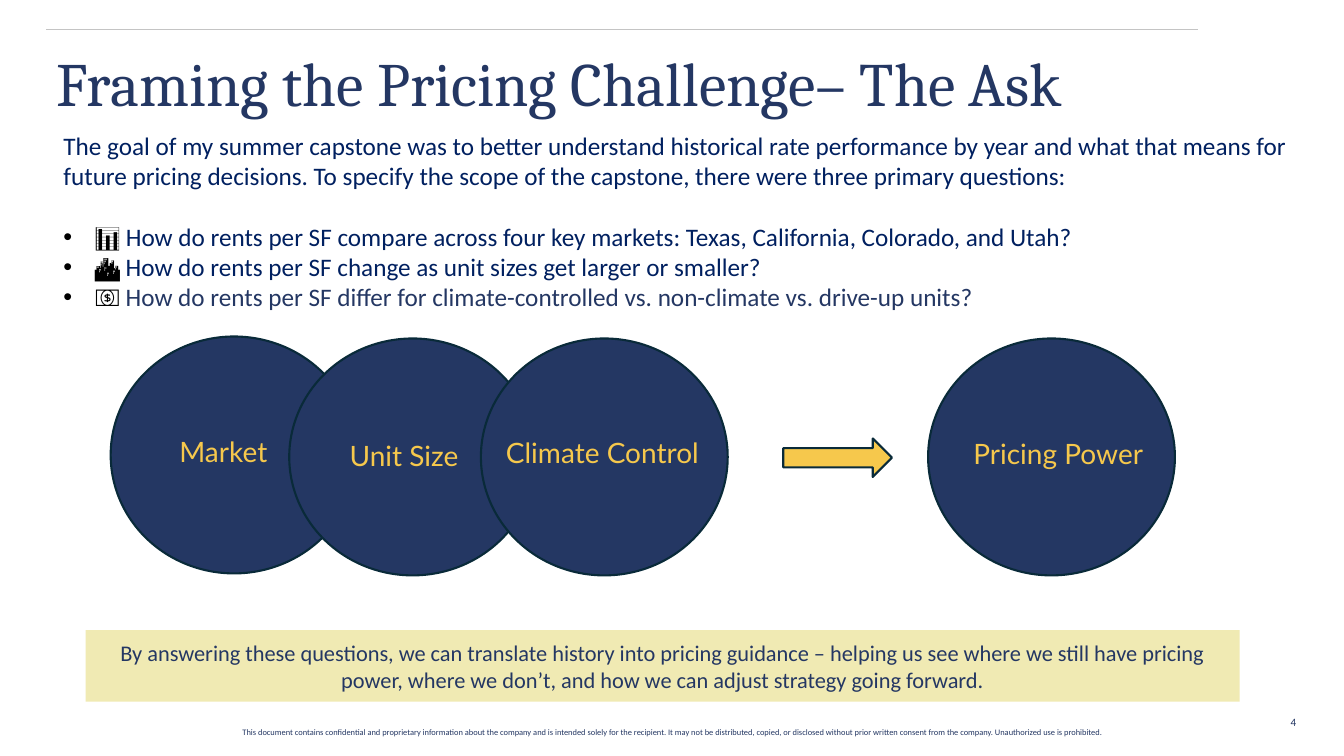
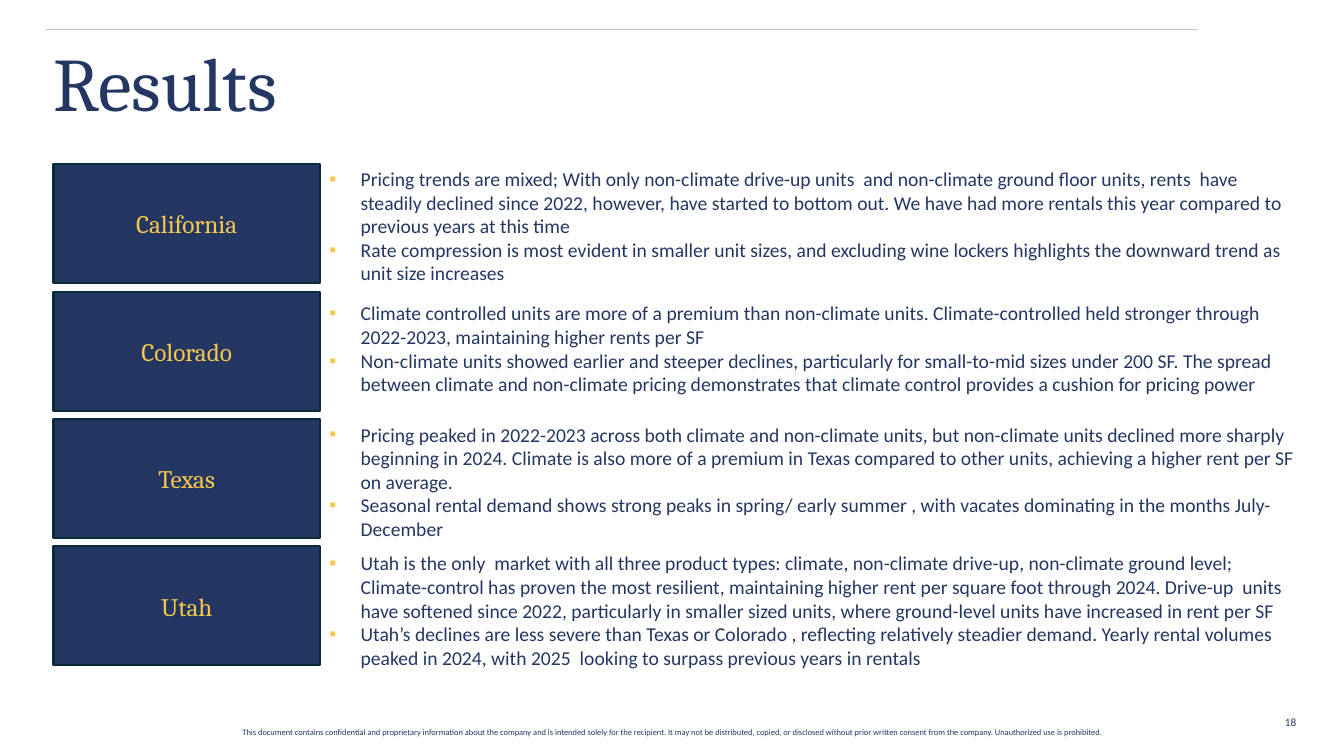
from lxml import etree
from pptx import Presentation
from pptx.dml.color import RGBColor
from pptx.enum.shapes import MSO_CONNECTOR, MSO_SHAPE
from pptx.enum.text import MSO_ANCHOR, PP_ALIGN
from pptx.oxml.ns import qn
from pptx.util import Cm, Pt

LEFT, MID, RIGHT = PP_ALIGN.LEFT, PP_ALIGN.CENTER, PP_ALIGN.RIGHT
TOP, CENTER = MSO_ANCHOR.TOP, MSO_ANCHOR.MIDDLE
OVAL, RECT, ARROW = MSO_SHAPE.OVAL, MSO_SHAPE.RECTANGLE, MSO_SHAPE.RIGHT_ARROW
STRAIGHT = MSO_CONNECTOR.STRAIGHT

COLORS = {
    "navy": "243763", "blue": "002060", "edge": "092A39", "gold": "F6C84C",
    "cream": "F0EAB3", "rule": "C4C4C4", "black": "000000",
}
BODY, HEAD, LABEL = "Calibri", "Cambria", "Lato"

FOOTER = (
    "This document contains confidential and proprietary information about "
    "the company and is intended solely for the recipient. It may not be "
    "distributed, copied, or disclosed without prior written consent from "
    "the company. Unauthorized use is prohibited."
)

INTRO = (
    "The goal of my summer capstone was to better understand historical rate "
    "performance by year and what that means for future pricing decisions. To "
    "specify the scope of the capstone, there were three primary questions:"
)
ASKS = [
    ("📊 ", "How do rents per SF compare across four key markets: Texas, "
     "California, Colorado, and Utah?", "blue"),
    ("🏙️ ", "How do rents per SF change as unit sizes get larger or smaller?",
     "blue"),
    ("💵 ", "How do rents per SF differ for climate-controlled vs. "
     "non-climate vs. drive-up units?", "navy"),
]
# Circle left and top, then label, label left and label top
CIRCLES = [
    (23.39, 8.53, "Pricing Power", 24.28, 10.87),
    (2.79, 8.48, "Market", 4.27, 10.82),
    (7.29, 8.53, "Unit Size", 8.56, 10.92),
    (12.12, 8.53, "Climate Control", 12.5, 10.85),
]
CLOSING = (
    "By answering these questions, we can translate history into pricing "
    "guidance – helping us see where we still have pricing power, where we "
    "don’t, and how we can adjust strategy going forward."
)

# Market, top of its findings, findings
RESULTS = [
    ("California", 4.09, [
        "Pricing trends are mixed; With only non-climate drive-up units  and "
        "non-climate ground floor units, rents  have steadily declined since "
        "2022, however, have started to bottom out. We have had more rentals "
        "this year compared to previous years at this time",
        "Rate compression is most evident in smaller unit sizes, and "
        "excluding wine lockers highlights the downward trend as unit size "
        "increases",
    ]),
    ("Colorado", 7.47, [
        "Climate controlled units are more of a premium than non-climate "
        "units. Climate-controlled held stronger through 2022-2023, "
        "maintaining higher rents per SF",
        "Non-climate units showed earlier and steeper declines, particularly "
        "for small-to-mid sizes under 200 SF. The spread between climate and "
        "non-climate pricing demonstrates that climate control provides a "
        "cushion for pricing power",
    ]),
    ("Texas", 10.52, [
        "Pricing peaked in 2022-2023 across both climate and non-climate "
        "units, but non-climate units declined more sharply beginning in "
        "2024. Climate is also more of a premium in Texas compared to other "
        "units, achieving a higher rent per SF on average.",
        "Seasonal rental demand shows strong peaks in spring/ early summer , "
        "with vacates dominating in the months July-December",
    ]),
    ("Utah", 13.77, [
        "Utah is the only  market with all three product types: climate, "
        "non-climate drive-up, non-climate ground level; Climate-control has "
        "proven the most resilient, maintaining higher rent per square foot "
        "through 2024. Drive-up  units have softened since 2022, particularly "
        "in smaller sized units, where ground-level units have increased in "
        "rent per SF",
        "Utah’s declines are less severe than Texas or Colorado , reflecting "
        "relatively steadier demand. Yearly rental volumes peaked in 2024, "
        "with 2025  looking to surpass previous years in rentals",
    ]),
]


def rgb(name):
    return RGBColor.from_string(COLORS[name])


def add_run(para, text, size, color, font=BODY):
    run = para.add_run()
    run.text = text
    run.font.size, run.font.name = Pt(size), font
    run.font.color.rgb = rgb(color)


def add_bullet(para, char, color):
    props = para._p.get_or_add_pPr()
    props.set("marL", str(Cm(0.79)))
    props.set("indent", str(-Cm(0.79)))
    tint = etree.SubElement(props, qn("a:buClr"))
    etree.SubElement(tint, qn("a:srgbClr")).set("val", COLORS[color])
    etree.SubElement(props, qn("a:buFont")).set("typeface", "Arial")
    etree.SubElement(props, qn("a:buChar")).set("char", char)


def next_para(frame, index):
    return frame.add_paragraph() if index else frame.paragraphs[0]


def add_box(slide, area, anchor=TOP):
    frame = slide.shapes.add_textbox(*map(Cm, area)).text_frame
    frame.word_wrap = True
    frame.vertical_anchor = anchor
    return frame


def add_line(slide, area, text, size, color, font=BODY, align=LEFT, anchor=TOP):
    """Add a text box that holds one run, and return its paragraph."""
    para = add_box(slide, area, anchor).paragraphs[0]
    para.alignment = align
    add_run(para, text, size, color, font)
    return para


def add_form(slide, kind, area, fill, edge=True):
    shape = slide.shapes.add_shape(kind, *map(Cm, area))
    shape.shadow.inherit = False
    shape.fill.solid()
    shape.fill.fore_color.rgb = rgb(fill)
    if edge:
        shape.line.color.rgb = rgb("edge")
        shape.line.width = Pt(1.5)
    else:
        shape.line.fill.background()
    return shape


def fill_form(shape, text, size, color, font=BODY):
    frame = shape.text_frame
    frame.word_wrap = True
    frame.vertical_anchor = CENTER
    para = frame.paragraphs[0]
    para.alignment = MID
    add_run(para, text, size, color, font)


def new_slide(deck, title, size, left, page):
    """Add a slide with the shared rule, title, footer and page number."""
    slide = deck.slides.add_slide(deck.slide_layouts[6])
    rule = slide.shapes.add_connector(
        STRAIGHT, Cm(1.17), Cm(0.75), Cm(30.2), Cm(0.75))
    rule.line.color.rgb = rgb("rule")
    rule.line.width = Pt(0.75)
    etree.SubElement(rule._element.spPr, qn("a:effectLst"))
    para = add_line(slide, (left, 0.35, 29.69, 3.68), title, size, "navy",
                    HEAD, anchor=CENTER)
    para.line_spacing = 0.9
    add_line(slide, (4.24, 18.21, 25.4, 0.51), FOOTER, 6, "navy", align=MID)
    add_line(slide, (32.03, 17.68, 0.89, 1.02), page, 8, "navy",
             align=RIGHT, anchor=CENTER)
    return slide


def build_ask(deck):
    slide = new_slide(deck, "Framing the Pricing Challenge– The Ask", 44,
                      1.18, "4")
    frame = add_box(slide, (1.35, 3.15, 31.67, 5))
    add_run(frame.paragraphs[0], INTRO, 18, "blue")
    for i, (icon, text, color) in enumerate(ASKS):
        para = frame.add_paragraph()
        add_bullet(para, "•", "black")
        if i == 0:
            para.space_before = Pt(22)
        add_run(para, icon, 18, "black")
        add_run(para, text, 18, color)
    for left, top, name, x, y in CIRCLES:
        add_form(slide, OVAL, (left, top, 6.22, 5.97), "navy")
        add_line(slide, (x, y, 5.8, 1.12), name, 20, "gold", LABEL)
    add_form(slide, ARROW, (19.74, 11.05, 2.74, 0.97), "gold")
    band = add_form(slide, RECT, (2.16, 15.88, 29.08, 1.8), "cream", False)
    fill_form(band, CLOSING, 16, "navy")


def build_results(deck):
    slide = new_slide(deck, "Results", 54, 1.09, "18")
    first, step = 4.14, 3.21
    for row, (market, top, notes) in enumerate(RESULTS):
        card = add_form(slide, RECT, (1.35, first + row * step, 6.71, 3),
                        "navy")
        fill_form(card, market, 18, "gold", HEAD)
        frame = add_box(slide, (8.05, top, 24.87, 3.25))
        for i, note in enumerate(notes):
            para = next_para(frame, i)
            add_bullet(para, "▪", "gold")
            add_run(para, note, 14, "navy")


def main():
    deck = Presentation()
    deck.slide_width, deck.slide_height = Cm(33.87), Cm(19.05)
    build_ask(deck)
    build_results(deck)
    deck.save("out.pptx")


if __name__ == "__main__":
    main()
